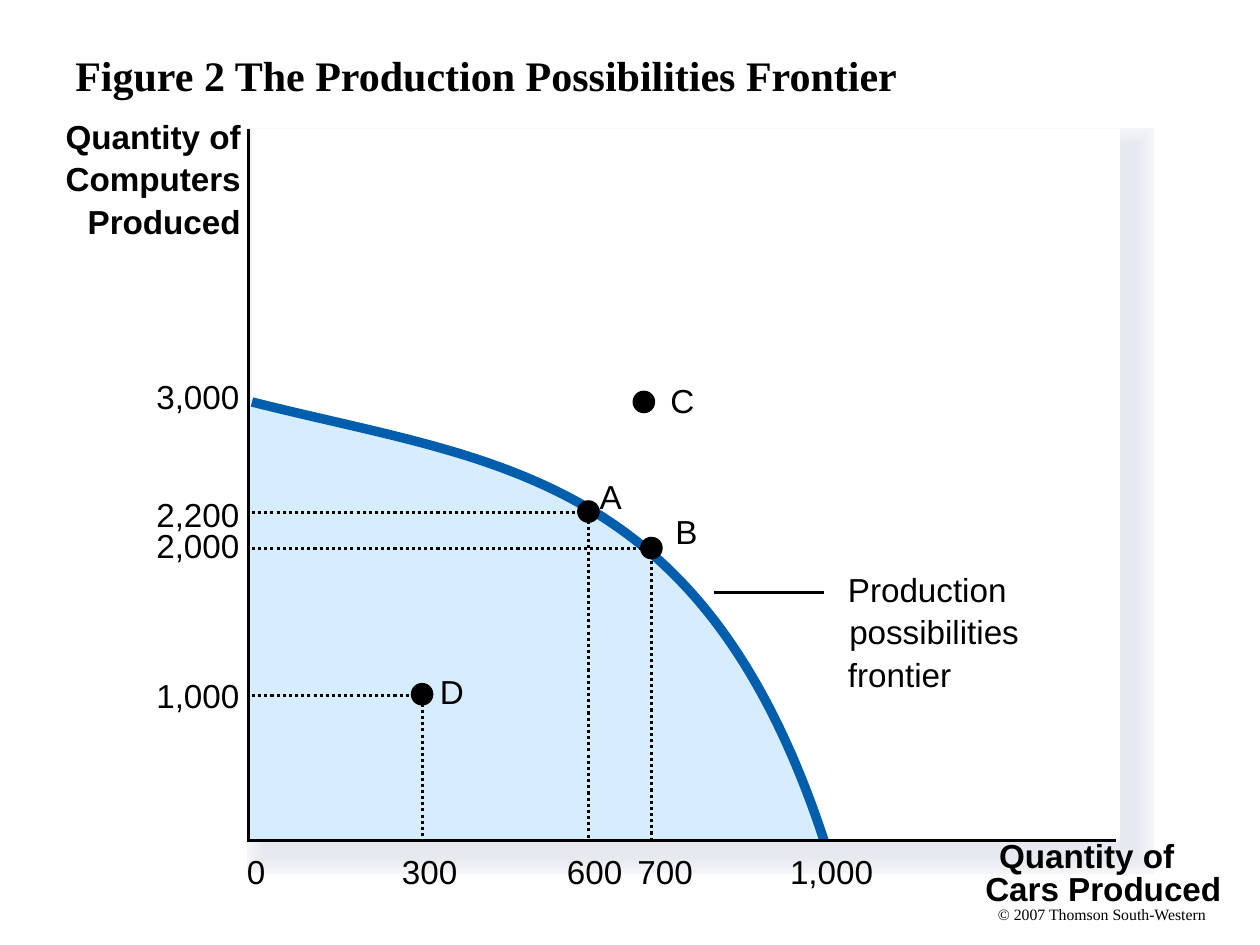
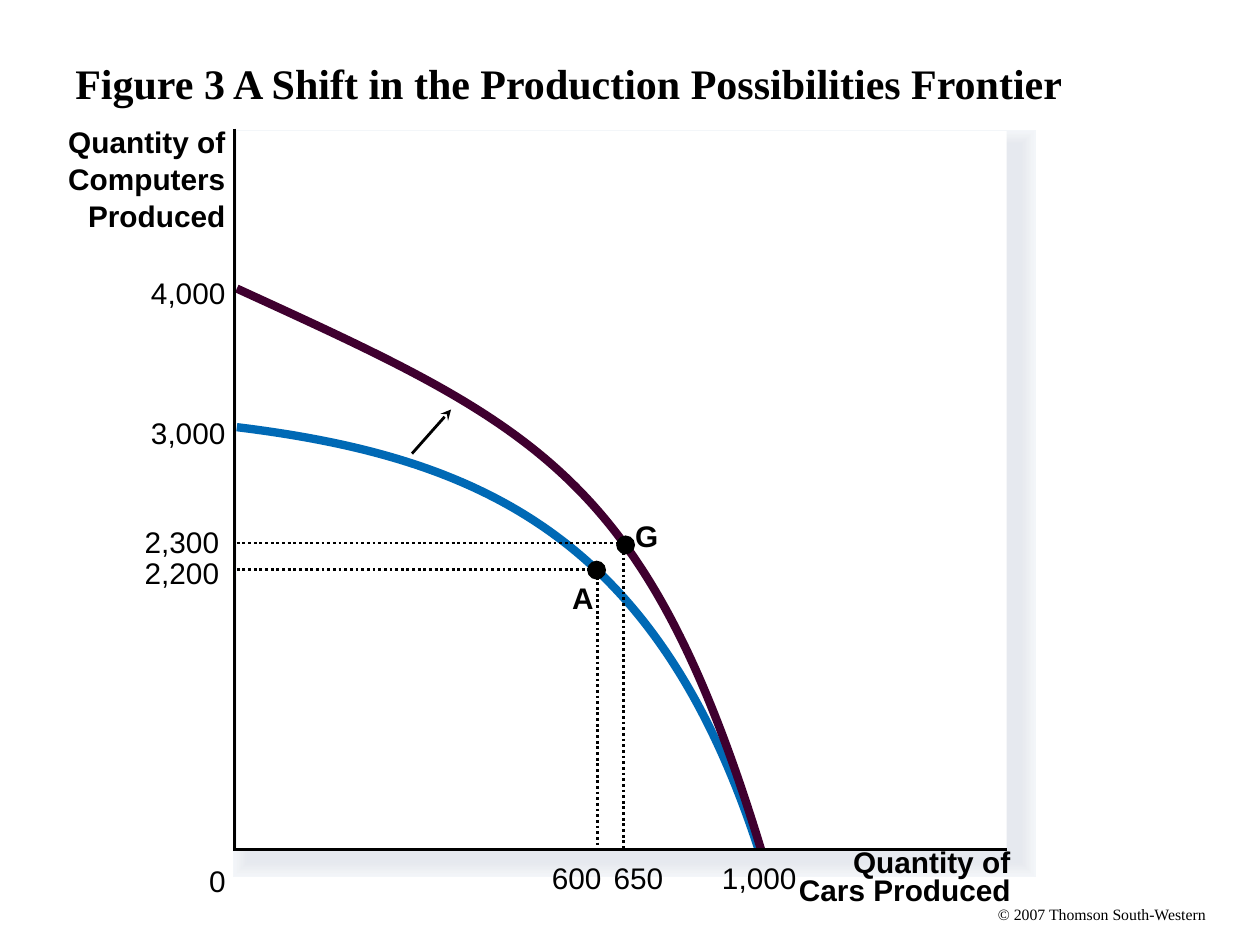
"""Build two slides on the production possibilities frontier."""
from lxml import etree
from pptx import Presentation, util as u
from pptx.dml.color import RGBColor
from pptx.enum import dml, shapes, text
from pptx.oxml.ns import qn

PX = 9144
BLACK, WHITE = "000000", "FFFFFF"
SANS, SERIF = "Arial", "Times New Roman"
COPYRIGHT = "© 2007 Thomson South-Western"
SHADOW_TINTS = ["F3F6F9", "F2F4F8", "F1F4F7", "F0F2F5", "EEF1F4", "EDEFF3",
                "EBEEF2", "EAECF1", "E9EBF0", "E7EAEF", "E6E9EF"]
LEFT, RIGHT = text.PP_ALIGN.LEFT, text.PP_ALIGN.RIGHT
SLACK = 3

FIGURES = [
    dict(
        title="Figure 2 The Production Possibilities Frontier", title_top=-3,
        size=19, label_height=32, dot=18, thin=1.75, thick=5.39,
        shadow=(210, 115, 692, 565), shadow_widths=(19.75, 1.75),
        plate=(200, 102, 689, 565),
        axes=[(197, 102), (197, 667), (886, 667)],
        area=("D6ECFF", [(654, 667), (569, 417), (445, 372), (197, 317)]),
        curves=[("005EAD", [(654, 667), (557, 372), (390, 367), (200, 319)])],
        guide_start=200,
        guides=[(467, 407), (335, 552), (517, 435)],
        pointer=((567, 470), (654, 470), False),
        dots=[(508, 426), (326, 542), (458, 397), (502, 310)],
        y_title=(191, 92, 34), x_title=[("Quantity of", 793, 663, 139),
                                       ("Cars Produced", 782, 689, 187)],
        y_ticks=[("3,000", 190, 299), ("2,200", 190, 392),
                 ("2,000", 190, 417), ("1,000", 190, 536)],
        x_ticks=[("0", 196, 676, 15), ("300", 319, 676, 44), ("600", 450, 676, 44),
                 ("700", 506, 676, 44), ("1,000", 627, 676, 66)],
        tick_width=66, y_title_width=139,
        points=[("A", 476, 378, 18), ("B", 536, 406, 18),
                ("C", 532, 302, 19), ("D", 349, 533, 19)],
        points_bold=False,
        notes=[("Production", 673, 452, 126), ("possibilities", 674, 485, 135),
               ("frontier", 673, 519, 82)],
    ),
    dict(
        title="Figure 3 A Shift in the Production Possibilities Frontier", title_top=3,
        size=17, label_height=28, dot=15, thin=1.62, thick=4.75,
        shadow=(197, 115, 613, 569), shadow_widths=(17.25, 1.62),
        plate=(188, 104, 611, 569),
        axes=[(186, 102), (186, 674), (799, 674)],
        area=None,
        curves=[("0069B5", [(602, 674), (522, 428), (384, 363), (188, 339)]),
                ("3F002F", [(604, 674), (513, 376), (426, 338), (188, 229)])],
        guide_start=188,
        guides=[(474, 452), (495, 431)],
        pointer=((327, 360), (358, 325), True),
        dots=[(466, 445), (489, 425)],
        y_title=(179, 98, 29.5), x_title=[("Quantity of", 677, 670, 125),
                                         ("Cars Produced", 634, 692, 168)],
        y_ticks=[("4,000", 179, 218), ("3,000", 179, 329),
                 ("2,300", 174, 416), ("2,200", 174, 440)],
        x_ticks=[("0", 166, 685, 13), ("600", 438, 682, 40),
                 ("650", 487, 682, 40), ("1,000", 573, 682, 59)],
        tick_width=59, y_title_width=125,
        points=[("A", 454, 460, 17), ("G", 504, 411, 19)],
        points_bold=True,
        notes=[],
    ),
]


def px(value):
    return u.Emu(round(value * PX))


def paint(fill_or_line, colour):
    fill_or_line.solid()
    fill_or_line.fore_color.rgb = RGBColor.from_string(colour)


def stroke(line, colour, width, dash=None):
    paint(line.fill, colour)
    line.width = u.Pt(width)
    if dash:
        line.dash_style = dash
    etree.SubElement(line._get_or_add_ln(), qn("a:miter"), lim="800000")


def finish(shape, fill=None, line=None):
    shape.shadow.inherit = False
    if fill:
        paint(shape.fill, fill)
    else:
        shape.fill.background()
    if line:
        stroke(shape.line, *line)
    else:
        shape.line.fill.background()


def preset(slide, kind, box, fill, line=None):
    finish(slide.shapes.add_shape(kind, *map(px, box)), fill, line)


def outline(slide, points, fill=None, line=None, curved=False, close=False):
    start, *rest = [(px(x), px(y)) for x, y in points]
    builder = slide.shapes.build_freeform(*start, scale=1.0)
    builder.add_line_segments(rest, close=close)
    shape = builder.convert_to_shape()
    if curved:
        bend_first_three(shape)
    finish(shape, fill, line)


def bend_first_three(shape):
    segments = list(shape._element.iter(qn("a:lnTo")))[:3]
    curve = etree.Element(qn("a:cubicBezTo"))
    segments[0].addprevious(curve)
    for segment in segments:
        curve.append(segment[0])
        segment.getparent().remove(segment)


def write(slide, words, box, size, font=SANS, bold=False, align=LEFT):
    left, top, width, height = box
    if align == RIGHT:
        left -= SLACK
    label = slide.shapes.add_textbox(*map(px, (left, top, width + SLACK, height)))
    frame = label.text_frame
    frame.margin_left = frame.margin_right = frame.margin_top = frame.margin_bottom = 0
    frame.word_wrap = False
    frame.auto_size = text.MSO_AUTO_SIZE.SHAPE_TO_FIT_TEXT
    frame.text = words
    paragraph = frame.paragraphs[0]
    paragraph.alignment = align
    style = paragraph.runs[0].font
    style.name, style.size, style.bold = font, u.Pt(size), bold
    style.color.rgb = RGBColor.from_string(BLACK)
    return frame


def add_title(slide, words, top):
    frame = write(slide, words, (50, top, 900, 125), 24, SERIF, True)
    frame.auto_size = text.MSO_AUTO_SIZE.NONE
    frame.word_wrap = True
    frame.vertical_anchor = text.MSO_ANCHOR.MIDDLE
    frame.margin_left = frame.margin_right = px(10)
    frame.margin_top = frame.margin_bottom = px(5)


def add_panel(slide, figure):
    rectangle = shapes.MSO_SHAPE.RECTANGLE
    widest, narrowest = figure["shadow_widths"]
    step = (widest - narrowest) / (len(SHADOW_TINTS) - 1)
    for i, tint in enumerate(SHADOW_TINTS):
        preset(slide, rectangle, figure["shadow"], tint, (tint, widest - i * step))
    preset(slide, rectangle, figure["plate"], WHITE)


def add_pointer(slide, start, end, arrow, width):
    pointer = slide.shapes.add_connector(
        shapes.MSO_CONNECTOR.STRAIGHT, *map(px, start + end))
    stroke(pointer.line, BLACK, width)
    properties = pointer.line._get_or_add_ln()
    if arrow:
        etree.SubElement(properties, qn("a:tailEnd"), type="stealth")
    etree.SubElement(properties.getparent(), qn("a:effectLst"))


def add_plot(slide, figure):
    thin = figure["thin"]
    origin = figure["axes"][1]
    if figure["area"]:
        colour, edge = figure["area"]
        outline(slide, edge + [origin], colour, curved=True, close=True)
    for colour, controls in figure["curves"]:
        outline(slide, controls, line=(colour, figure["thick"]), curved=True)
    outline(slide, figure["axes"], line=(BLACK, thin))
    for x, y in figure["guides"]:
        outline(slide, [(figure["guide_start"], y), (x, y), (x, origin[1])],
                line=(BLACK, thin, dml.MSO_LINE.ROUND_DOT))
    add_pointer(slide, *figure["pointer"], thin)
    for x, y in figure["dots"]:
        preset(slide, shapes.MSO_SHAPE.OVAL, (x, y, figure["dot"], figure["dot"]), BLACK)


def add_labels(slide, figure):
    size, height = figure["size"], figure["label_height"]
    right, top, step = figure["y_title"]
    width = figure["y_title_width"]
    for i, words in enumerate(["Quantity of", "Computers", "Produced"]):
        write(slide, words, (right - width, top + i * step, width, height),
              size, bold=True, align=RIGHT)
    width = figure["tick_width"]
    for words, right, top in figure["y_ticks"]:
        write(slide, words, (right - width, top, width, height), size, align=RIGHT)
    for group, bold in (("x_title", True), ("x_ticks", False), ("notes", False),
                        ("points", figure["points_bold"])):
        for words, left, top, width in figure[group]:
            write(slide, words, (left, top, width, height), size, bold=bold)


def main():
    deck = Presentation()
    deck.slide_width, deck.slide_height = px(1000), px(750)
    for figure in FIGURES:
        slide = deck.slides.add_slide(deck.slide_layouts[6])
        write(slide, COPYRIGHT, (792, 718, 166, 15), 9, SERIF)
        add_title(slide, figure["title"], figure["title_top"])
        add_panel(slide, figure)
        add_plot(slide, figure)
        add_labels(slide, figure)
    deck.save("out.pptx")


if __name__ == "__main__":
    main()
